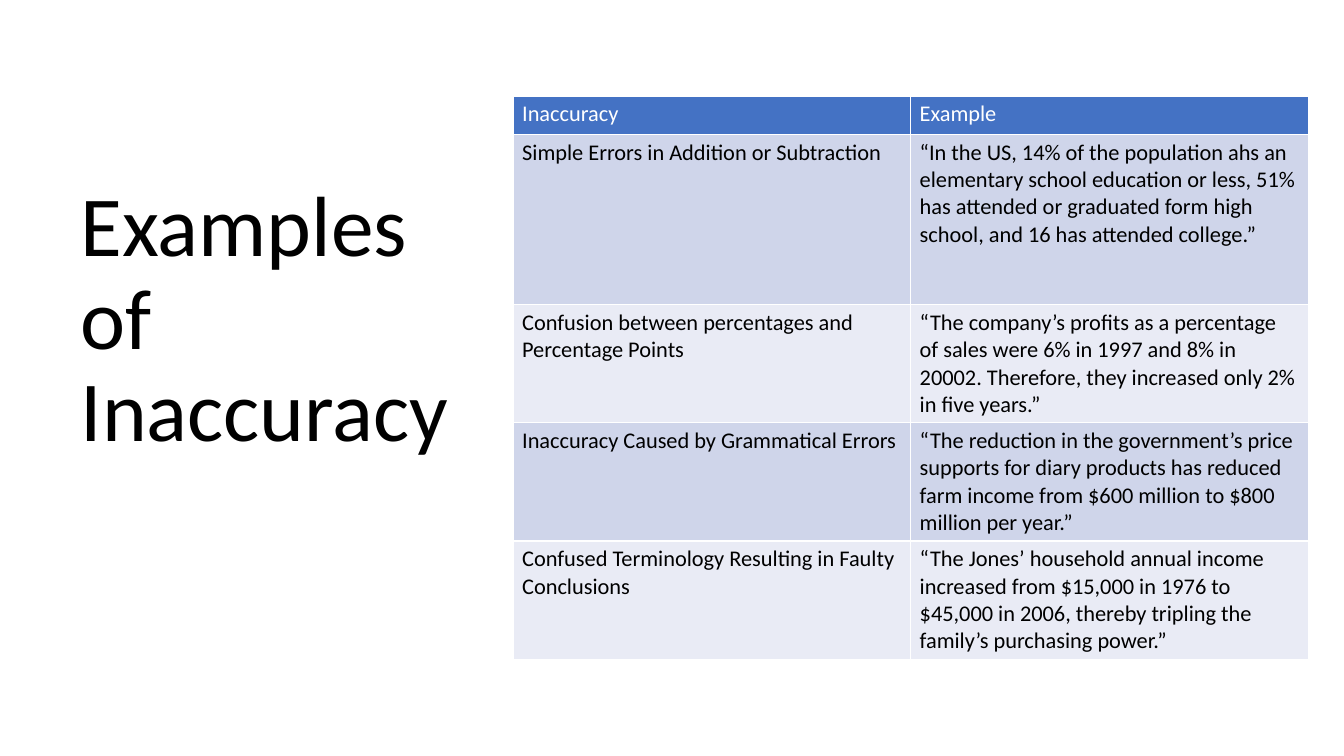
from dataclasses import dataclass

from lxml.etree import SubElement
from pptx import Presentation
from pptx.dml.color import RGBColor
from pptx.enum.text import MSO_ANCHOR
from pptx.oxml.ns import qn
from pptx.util import Pt


@dataclass(frozen=True)
class Theme:
    font: str = "Calibri"
    title_size: float = 61
    cell_size: float = 16
    black: str = "000000"
    white: str = "FFFFFF"
    header: str = "4472C4"
    bands: tuple[str, str] = ("CFD5EA", "E9EBF5")


@dataclass(frozen=True)
class Row:
    inaccuracy: str
    example: str
    height: float = 84.5


THEME = Theme()
COLUMN_WIDTHS = (284, 284)
ROWS = (
    Row("Inaccuracy", "Example", 27.5),
    Row(
        "Simple Errors in Addition or Subtraction",
        "“In the US, 14% of the population ahs an elementary school education or less, "
        "51% has attended or graduated form high school, and 16 has attended college.”",
        121.5,
    ),
    Row(
        "Confusion between percentages and Percentage Points",
        "“The company’s profits as a percentage of sales were 6% in 1997 and 8% in 20002. "
        "Therefore, they increased only 2% in five years.”",
    ),
    Row(
        "Inaccuracy Caused by Grammatical Errors",
        "“The reduction in the government’s price supports for diary products has reduced "
        "farm income from $600 million to $800 million per year.”",
    ),
    Row(
        "Confused Terminology Resulting in Faulty Conclusions",
        "“The Jones’ household annual income increased from $15,000 in 1976 to $45,000 "
        "in 2006, thereby tripling the family’s purchasing power.”",
    ),
)


def write(tf, text: str, *, size: float, color: str, spacing: float = 1.0) -> None:
    tf.word_wrap = True
    p = tf.paragraphs[0]
    p.line_spacing = spacing
    r = p.add_run()
    r.text = text
    r.font.name = THEME.font
    r.font.size = Pt(size)
    r.font.bold = False
    r.font.color.rgb = RGBColor.from_string(color)


def add_borders(cell, color: str, width: float) -> None:
    props = cell._tc.get_or_add_tcPr()
    for side in ("lnL", "lnR", "lnT", "lnB"):
        line = SubElement(props, qn(f"a:{side}"), w=str(Pt(width)))
        fill = SubElement(line, qn("a:solidFill"))
        SubElement(fill, qn("a:srgbClr"), val=color)


def fill_cell(cell, text: str, fill: str, color: str) -> None:
    cell.margin_left = cell.margin_right = Pt(6.5)
    cell.margin_top = cell.margin_bottom = Pt(3.2)
    add_borders(cell, THEME.white, 1)
    cell.fill.solid()
    cell.fill.fore_color.rgb = RGBColor.from_string(fill)
    write(cell.text_frame, text, size=THEME.cell_size, color=color)


def add_title(s) -> None:
    sp = s.shapes.add_textbox(Pt(50.5), Pt(50.5), Pt(281.5), Pt(281.5))
    tf = sp.text_frame
    tf.vertical_anchor = MSO_ANCHOR.BOTTOM
    write(tf, "Examples of Inaccuracy", size=THEME.title_size, color=THEME.black, spacing=0.9)


def add_examples(s) -> None:
    height = sum(row.height for row in ROWS)
    frame = s.shapes.add_table(
        len(ROWS), len(COLUMN_WIDTHS), Pt(366.5), Pt(68.5), Pt(sum(COLUMN_WIDTHS)), Pt(height)
    )
    table = frame.table
    for column, width in zip(table.columns, COLUMN_WIDTHS):
        column.width = Pt(width)
    for i, row in enumerate(ROWS):
        table.rows[i].height = Pt(row.height)
        fill = THEME.bands[(i - 1) % 2] if i else THEME.header
        color = THEME.black if i else THEME.white
        for j, text in enumerate((row.inaccuracy, row.example)):
            fill_cell(table.cell(i, j), text, fill, color)


def main() -> None:
    prs = Presentation()
    prs.slide_width, prs.slide_height = Pt(960), Pt(540)
    s = prs.slides.add_slide(prs.slide_layouts[6])
    add_title(s)
    add_examples(s)
    prs.save("out.pptx")


if __name__ == "__main__":
    main()
